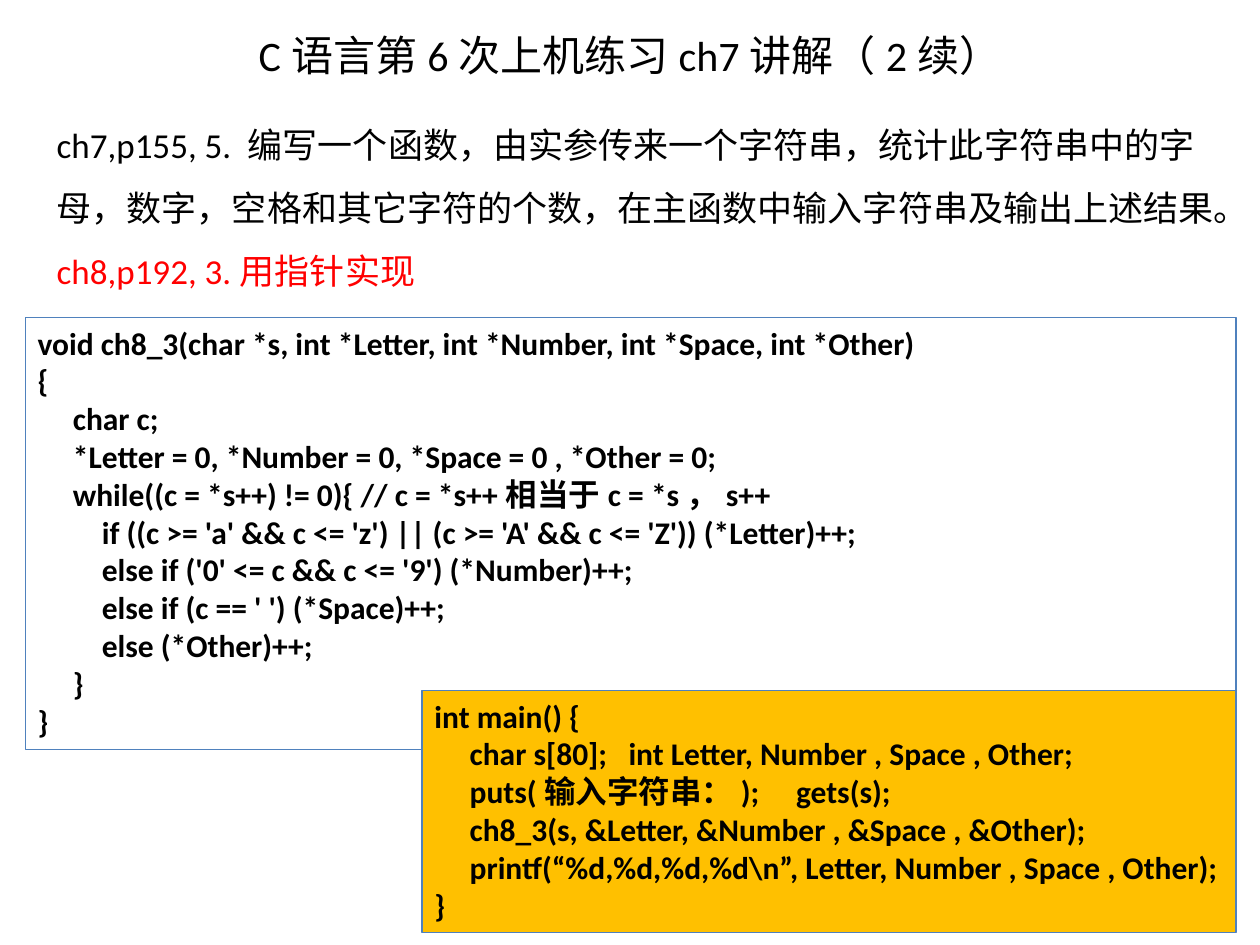
"""Builds a slide explaining a C string-counting exercise solved with pointers."""
from lxml.etree import SubElement
from pptx import Presentation
from pptx.dml.color import RGBColor
from pptx.enum.shapes import MSO_SHAPE as SHAPE
from pptx.enum.text import MSO_ANCHOR as ANCHOR, MSO_AUTO_SIZE as AUTO, PP_ALIGN as ALIGN
from pptx.oxml.ns import qn
from pptx.util import Inches, Pt

COLORS = {"text": "000000", "accent": "FF0000", "line": "4F81BD", "main": "FFC000"}
TITLE = "C语言第6次上机练习ch7讲解（2续）"
TASK = [
    ("ch7,p155, 5. 编写一个函数，由实参传来一个字符串，统计此字符串中的字母，数字，空格和其它字符的个数，"
     "在主函数中输入字符串及输出上述结果。", "text"),
    ("ch8,p192, 3.用指针实现", "accent"),
]
COUNT_CODE = [
    "void ch8_3(char *s, int *Letter, int *Number, int *Space, int *Other)",
    "{",
    "\tchar c;",
    "\t*Letter = 0, *Number = 0, *Space = 0 , *Other = 0;",
    "\twhile((c = *s++) != 0){ // c = *s++相当于c = *s，s++",
    "\t\tif ((c >= 'a' && c <= 'z') || (c >= 'A' && c <= 'Z')) (*Letter)++;",
    "\t\telse if ('0' <= c && c <= '9') (*Number)++;",
    "\t\telse if (c == ' ') (*Space)++;",
    "\t\telse (*Other)++;",
    "\t}",
    "}",
]
MAIN_CODE = [
    "int main() {",
    "\tchar s[80];\tint Letter, Number , Space , Other;",
    "\tputs(输入字符串：);\tgets(s);",
    "\tch8_3(s, &Letter, &Number , &Space , &Other);",
    "\tprintf(“%d,%d,%d,%d\\n”, Letter, Number , Space , Other);",
    "}",
]
BOXES = [
    ((0.2, 2.52, 9.61, 3.43), None, COUNT_CODE),
    ((3.35, 5.48, 6.46, 1.92), "main", MAIN_CODE),
]
TAB_STOPS = (0.28, 0.51, 1.54, 2.87)


def rgb(name):
    return RGBColor.from_string(COLORS[name])


def place(sp, box):
    for name, value in zip(("left", "top", "width", "height"), box):
        setattr(sp, name, Inches(value))


def add_run(p, text, size, color="text", bold=False):
    r = p.add_run()
    r.text = text
    for name, value in {"name": "Calibri", "size": Pt(size), "bold": bold}.items():
        setattr(r.font, name, value)
    r.font.color.rgb = rgb(color)


def add_code(s, box, fill, lines):
    sp = s.shapes.add_shape(SHAPE.RECTANGLE, *map(Inches, box))
    sp.shadow.inherit = False
    if fill:
        sp.fill.solid()
        sp.fill.fore_color.rgb = rgb(fill)
    else:
        sp.fill.background()
    sp.line.color.rgb = rgb("line")
    sp.line.width = Pt(0.75)
    tf = sp.text_frame
    for name, value in {"word_wrap": True, "vertical_anchor": ANCHOR.TOP,
                        "auto_size": AUTO.SHAPE_TO_FIT_TEXT}.items():
        setattr(tf, name, value)
    for i, line in enumerate(lines):
        p = tf.add_paragraph() if i else tf.paragraphs[0]
        p.alignment = ALIGN.LEFT
        tabs = SubElement(p._p.get_or_add_pPr(), qn("a:tabLst"))
        for stop in TAB_STOPS:
            SubElement(tabs, qn("a:tab"), pos=str(Inches(stop)), algn="l")
        add_run(p, line, 18, bold=True)


def main():
    prs = Presentation()
    prs.slide_width, prs.slide_height = Inches(10), Inches(7.5)
    s = prs.slides.add_slide(prs.slide_layouts[1])
    title, body = s.placeholders
    place(title, (0.5, -0.19, 9, 1.25))
    place(body, (0.35, 0.76, 9.45, 1.57))
    for sp in (title, body):
        sp.text_frame.auto_size = AUTO.NONE
    add_run(title.text_frame.paragraphs[0], TITLE, 24)

    p = body.text_frame.paragraphs[0]
    p.line_spacing = 1.5
    pPr = p._p.get_or_add_pPr()
    for name in ("marL", "indent"):
        pPr.set(name, "0")
    SubElement(pPr, qn("a:buNone"))
    for text, color in TASK:
        add_run(p, text, 20, color)

    for box, fill, lines in BOXES:
        add_code(s, box, fill, lines)
    prs.save("out.pptx")


if __name__ == "__main__":
    main()
